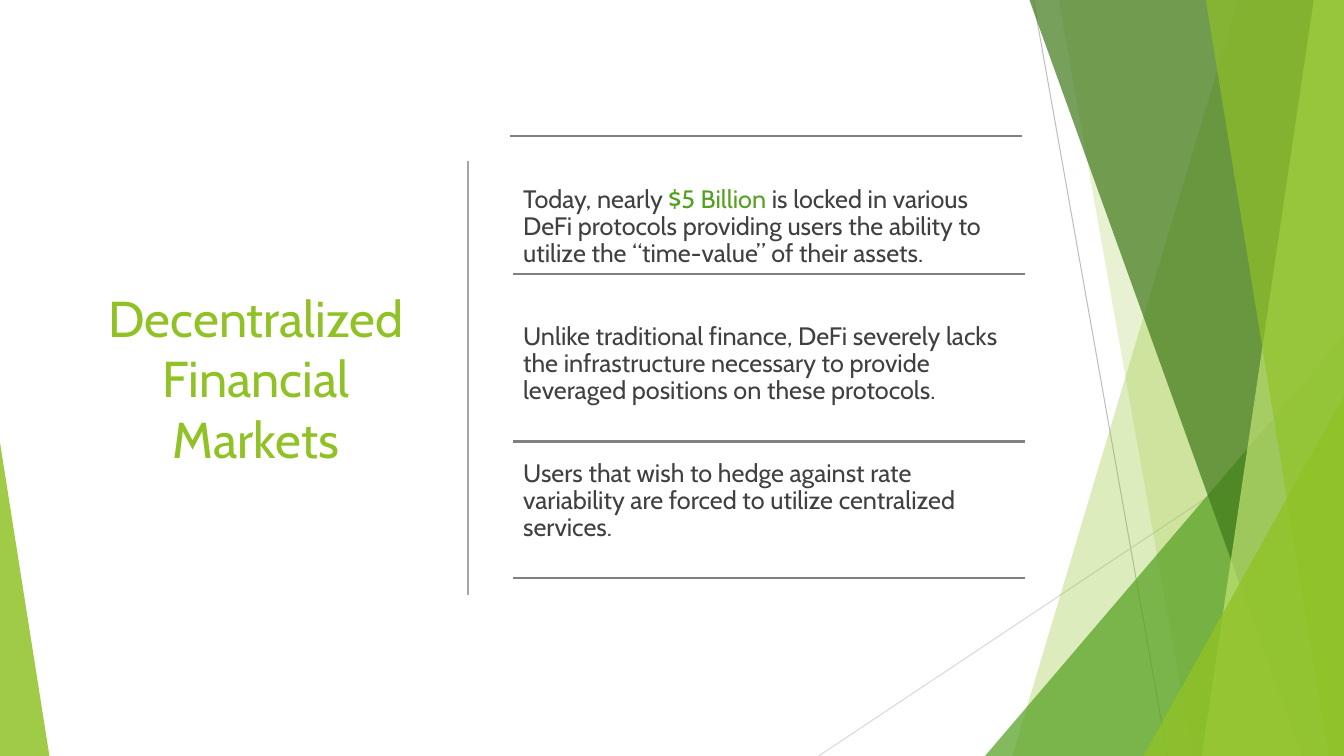
"""Build the slide on decentralized financial markets."""
from lxml.etree import SubElement
from pptx import Presentation
from pptx.dml.color import RGBColor
from pptx.enum.shapes import MSO_CONNECTOR, MSO_SHAPE
from pptx.enum.text import MSO_ANCHOR, MSO_AUTO_SIZE, PP_ALIGN
from pptx.oxml.ns import qn
from pptx.util import Inches, Pt

LIME = RGBColor(0x90, 0xC2, 0x26)
GREEN = RGBColor(0x54, 0xA0, 0x21)
FOREST = RGBColor(0x3F, 0x78, 0x19)
PALE = RGBColor(0xC0, 0xE4, 0x74)
INK = RGBColor(0x40, 0x40, 0x40)
RULE = RGBColor(0x80, 0x80, 0x80)
DIVIDER = RGBColor(0xA6, 0xA6, 0xA6)
SILVER = RGBColor(0xBF, 0xBF, 0xBF)
MIST = RGBColor(0xD9, 0xD9, 0xD9)
FONT = "Cabin"
WIDTH, HEIGHT = 13.33, 7.5

POINTS = [
    [("Today, nearly ", INK), ("$5 Billion ", GREEN),
     ("is locked in various DeFi protocols providing users the ability to "
      "utilize the “time-value” of their assets.", INK)],
    [("Unlike traditional finance, DeFi severely lacks the infrastructure "
      "necessary to provide leveraged positions on these protocols.", INK)],
    [("Users that wish to hedge against rate variability are forced to "
      "utilize centralized services.", INK)],
]


def add_line(slide, start, end, color, weight):
    line = slide.shapes.add_connector(
        MSO_CONNECTOR.STRAIGHT, *map(Inches, start + end))
    line.line.color.rgb = color
    line.line.width = Pt(weight)
    SubElement(line._element.spPr, qn("a:effectLst"))


def paint(shape, color, alpha):
    shape.shadow.inherit = False
    shape.line.fill.background()
    shape.fill.solid()
    shape.fill.fore_color.rgb = color
    tint = shape._element.spPr.find(qn("a:solidFill"))[0]
    SubElement(tint, qn("a:alpha"), val=str(alpha * 1000))


def add_facet(slide, top, foot, color, alpha):
    """Fill from a slanted edge to the right side of the slide."""
    form = slide.shapes.build_freeform(Inches(top), 0)
    corners = [(WIDTH, 0), (WIDTH, HEIGHT), (foot, HEIGHT)]
    form.add_line_segments([(Inches(x), Inches(y)) for x, y in corners])
    paint(form.convert_to_shape(), color, alpha)


def add_wedge(slide, left, top, width, apex, color, alpha):
    wedge = slide.shapes.add_shape(
        MSO_SHAPE.ISOSCELES_TRIANGLE, Inches(left), Inches(top),
        Inches(width), Inches(HEIGHT - top))
    wedge.adjustments[0] = apex
    paint(wedge, color, alpha)


def add_run(para, text, size, color):
    run = para.add_run()
    run.text = text
    run.font.name = FONT
    run.font.size = Pt(size)
    run.font.color.rgb = color


def add_title(slide, text):
    title = slide.shapes.title
    title.left, title.top = Inches(0.7), Inches(0.89)
    title.width, title.height = Inches(3.68), Inches(5.71)
    frame = title.text_frame
    frame.word_wrap = True
    frame.auto_size = MSO_AUTO_SIZE.NONE
    frame.vertical_anchor = MSO_ANCHOR.MIDDLE
    para = frame.paragraphs[0]
    para.alignment = PP_ALIGN.CENTER
    add_run(para, text, 36, LIME)


def add_body(slide, points):
    box = slide.shapes.add_textbox(
        Inches(5.09), Inches(1.8), Inches(5.05), Inches(4.8))
    frame = box.text_frame
    frame.word_wrap = True
    for i, runs in enumerate(points):
        para = frame.add_paragraph() if i else frame.paragraphs[0]
        para.line_spacing = 0.9
        para.space_after = Pt(39.5)
        for text, color in runs:
            add_run(para, text, 18, color)


def add_decor(slide):
    add_line(slide, (10.25, 0), (11.58, HEIGHT), SILVER, 0.75)
    add_line(slide, (WIDTH, 4.03), (8.12, HEIGHT), MIST, 0.75)
    add_facet(slide, 12.28, 10.04, LIME, 30)
    add_facet(slide, 10.5, 11.83, LIME, 20)
    add_wedge(slide, 9.77, 3.33, 3.56, 1, GREEN, 72)
    add_facet(slide, 10.21, 12.91, FOREST, 70)
    add_facet(slide, 13.03, 11.92, PALE, 70)
    add_facet(slide, 11.96, 13.18, LIME, 65)
    add_wedge(slide, 11.34, 3.93, 1.99, 1, LIME, 80)
    add_wedge(slide, 0, 4.39, 0.49, 0, LIME, 85)


def main():
    deck = Presentation()
    deck.slide_width, deck.slide_height = Inches(WIDTH), Inches(HEIGHT)
    slide = deck.slides.add_slide(deck.slide_layouts[5])
    add_decor(slide)
    add_line(slide, (4.64, 1.6), (4.64, 5.9), DIVIDER, 1)
    add_title(slide, "Decentralized Financial Markets")
    add_body(slide, POINTS)
    for x, y in [(5.06, 1.35), (5.09, 2.72), (5.09, 4.38), (5.09, 5.73)]:
        add_line(slide, (x, y), (x + 5.08, y), RULE, 1.5)
    deck.save("out.pptx")


if __name__ == "__main__":
    main()
